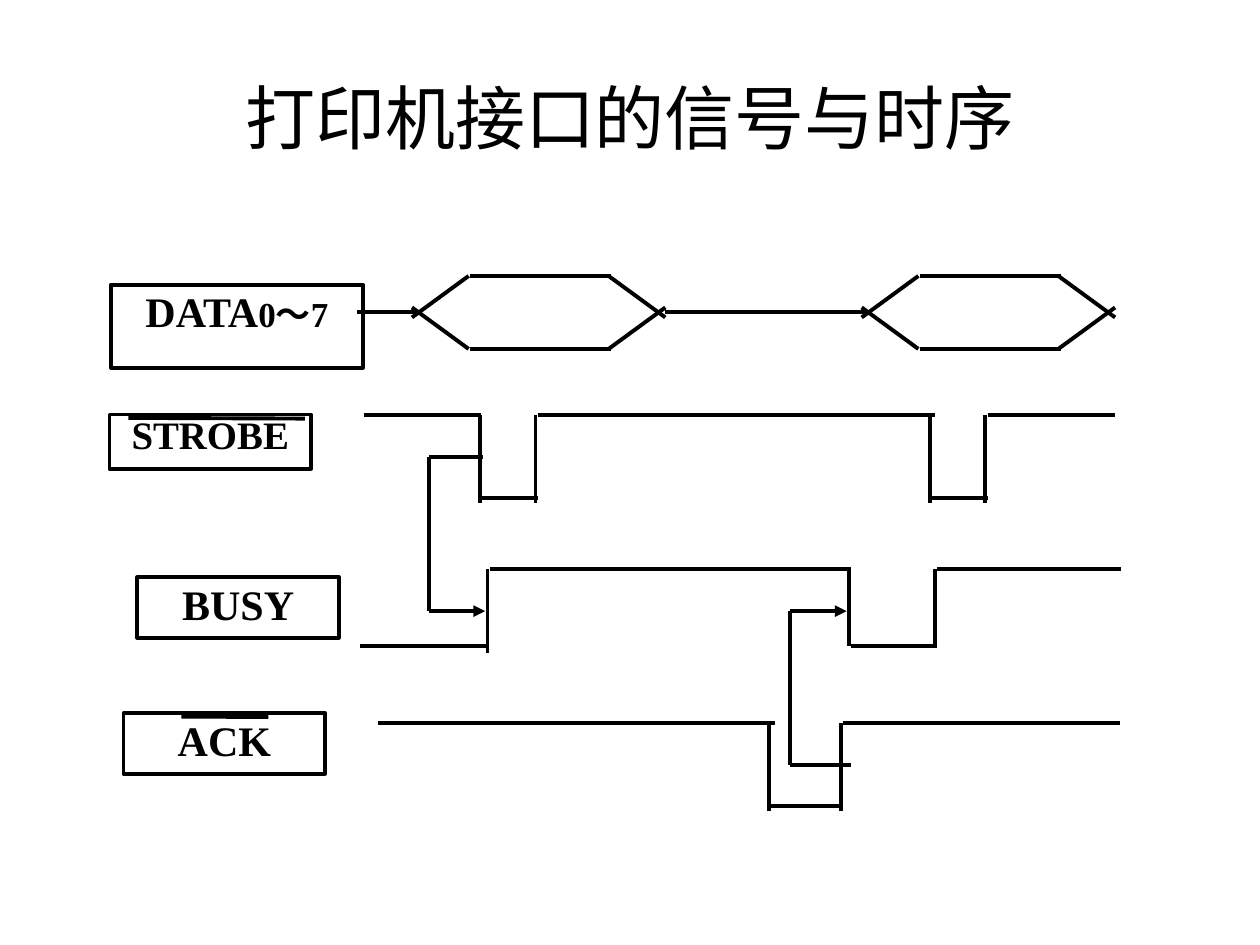
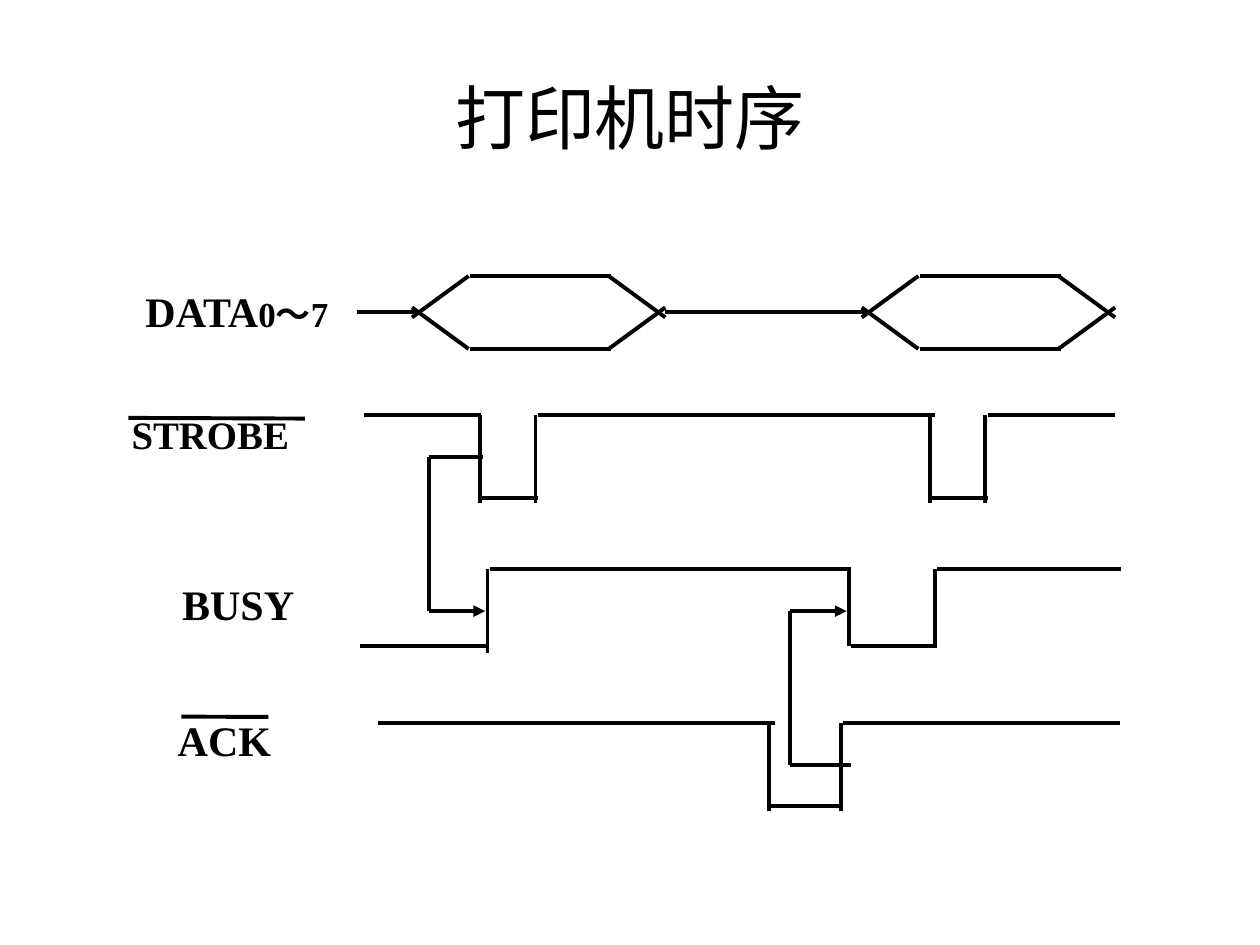
from dataclasses import dataclass

import lxml.etree
import pptx
import pptx.dml.color
import pptx.enum.dml
import pptx.enum.lang
import pptx.enum.shapes
import pptx.enum.text
import pptx.oxml.ns
import pptx.util

Pt = pptx.util.Pt

BLACK = pptx.dml.color.RGBColor(0x00, 0x00, 0x00)
TITLE_FONT = "Calibri"
LABEL_FONT = "Times New Roman"
LINE_WIDTH = 2.25
LABEL_INSET = 0.72
CYCLE = 257

DATA_TOP, DATA_BOTTOM = 157.7, 199.4
DATA_MIDDLE = (DATA_TOP + DATA_BOTTOM) / 2
STROBE_HIGH, STROBE_LOW = 236.9, 284.4
BUSY_HIGH, BUSY_LOW = 325.4, 369.4
ACK_HIGH, ACK_LOW = 413.3, 460.8
BUSY_EDGE = 349.2


@dataclass(frozen=True)
class Segment:
    x1: float
    y1: float
    x2: float
    y2: float
    arrow: bool = False


@dataclass(frozen=True)
class Pulse:
    left: float
    right: float
    high: float
    low: float
    overshoot: float = 2.9


@dataclass(frozen=True)
class Feedback:
    x: float
    cause_x: float
    cause_y: float
    effect_x: float


@dataclass(frozen=True)
class Label:
    runs: tuple[tuple[str, float], ...]
    left: float
    top: float
    width: float
    height: float
    spacing: float = 1.0
    overbar: Segment | None = None


LEVELS = (
    Segment(203.8, DATA_MIDDLE, 238.3, DATA_MIDDLE),
    Segment(380.2, DATA_MIDDLE, 497.5, DATA_MIDDLE),
    Segment(208, STROBE_HIGH, 275, STROBE_HIGH),
    Segment(307.4, STROBE_HIGH, 534.2, STROBE_HIGH),
    Segment(564.5, STROBE_HIGH, 637.2, STROBE_HIGH),
    Segment(205.9, BUSY_LOW, 279.4, BUSY_LOW),
    Segment(278.6, BUSY_HIGH, 278.6, 373),
    Segment(280, BUSY_HIGH, 486, BUSY_HIGH),
    Segment(535.7, BUSY_HIGH, 640.8, BUSY_HIGH),
    Segment(216, ACK_HIGH, 442.8, ACK_HIGH),
    Segment(481.7, ACK_HIGH, 640, ACK_HIGH),
)

PULSES = (
    Pulse(274.3, 306, STROBE_HIGH, STROBE_LOW),
    Pulse(274.3 + CYCLE, 306 + CYCLE, STROBE_HIGH, STROBE_LOW),
    Pulse(485.3, 534.2, BUSY_HIGH, BUSY_LOW, 0),
    Pulse(439.2, 480.4, ACK_HIGH, ACK_LOW),
)

FEEDBACKS = (
    Feedback(245, 275.8, 261.4, 277.2),
    Feedback(451.4, 486, 437.4, 483.8),
)

LABELS = (
    Label((("BUSY", 24),), 78.5, 329.8, 115.2, 34.6),
    Label((("DATA", 24), ("0～7", 20)), 63.4, 162.7, 144, 47.5),
    Label((("ACK", 24),), 70.6, 407.5, 115.2, 34.6,
          overbar=Segment(103.7, 409.5, 153.4, 409.7)),
    Label((("STROBE", 22.2),), 62.6, 236.9, 115.2, 31, 0.9,
          Segment(73.4, 238.8, 174.2, 239.2)),
)


def draw_segment(slide: pptx.slide.Slide, segment: Segment) -> None:
    connector = slide.shapes.add_connector(
        pptx.enum.shapes.MSO_CONNECTOR.STRAIGHT,
        Pt(segment.x1), Pt(segment.y1), Pt(segment.x2), Pt(segment.y2))
    connector.line.color.rgb = BLACK
    connector.line.width = Pt(LINE_WIDTH)
    if segment.arrow:
        line = connector.line._get_or_add_ln()
        lxml.etree.SubElement(line, pptx.oxml.ns.qn("a:tailEnd"), type="triangle")
    lxml.etree.SubElement(connector._element.spPr, pptx.oxml.ns.qn("a:effectLst"))


def draw_data_window(slide: pptx.slide.Slide, offset: float) -> None:
    for y, crossing in ((DATA_TOP, 181.4), (DATA_BOTTOM, 175.7)):
        draw_segment(slide, Segment(347.8 + offset, y, 380.2 + offset, crossing))
        draw_segment(slide, Segment(267.8 + offset, y, 235.4 + offset, crossing))
        draw_segment(slide, Segment(268.6 + offset, y, 349.2 + offset, y))


def draw_pulse(slide: pptx.slide.Slide, pulse: Pulse) -> None:
    for x in (pulse.left, pulse.right):
        draw_segment(slide, Segment(x, pulse.high, x, pulse.low + pulse.overshoot))
    draw_segment(slide, Segment(pulse.left + 1, pulse.low, pulse.right + 1.5, pulse.low))


def draw_feedback(slide: pptx.slide.Slide, feedback: Feedback) -> None:
    x, y = feedback.x, feedback.cause_y
    draw_segment(slide, Segment(x, BUSY_EDGE, feedback.effect_x, BUSY_EDGE, True))
    draw_segment(slide, Segment(x, BUSY_EDGE, x, y))
    draw_segment(slide, Segment(x, y, feedback.cause_x, y))


def add_text(paragraph: pptx.text.text._Paragraph, text: str, *, size: float,
             font: str, bold: bool = False) -> None:
    run = paragraph.add_run()
    run.text = text
    run.font.name = font
    run.font.size = Pt(size)
    run.font.bold = bold
    run.font.color.rgb = BLACK
    run.font.language_id = pptx.enum.lang.MSO_LANGUAGE_ID.SIMPLIFIED_CHINESE


def draw_title(slide: pptx.slide.Slide, title: str) -> None:
    shape = slide.shapes.add_textbox(Pt(36), Pt(21.6), Pt(648), Pt(90))
    frame = shape.text_frame
    frame.word_wrap = True
    frame.vertical_anchor = pptx.enum.text.MSO_ANCHOR.MIDDLE
    paragraph = frame.paragraphs[0]
    paragraph.alignment = pptx.enum.text.PP_ALIGN.CENTER
    add_text(paragraph, title, size=40, font=TITLE_FONT)


def draw_label(slide: pptx.slide.Slide, label: Label, boxed: bool) -> None:
    bounds = [Pt(value) for value in (label.left, label.top, label.width, label.height)]
    if boxed:
        shape = slide.shapes.add_shape(
            pptx.enum.shapes.MSO_SHAPE.RECTANGLE, *bounds)
        shape.shadow.inherit = False
        shape.fill.background()
        shape.line.color.rgb = BLACK
        shape.line.width = Pt(LINE_WIDTH)
    else:
        shape = slide.shapes.add_textbox(*bounds)
    frame = shape.text_frame
    frame.word_wrap = True
    frame.vertical_anchor = pptx.enum.text.MSO_ANCHOR.TOP
    frame.margin_left = frame.margin_right = Pt(LABEL_INSET)
    frame.margin_top = frame.margin_bottom = Pt(LABEL_INSET)
    paragraph = frame.paragraphs[0]
    paragraph.alignment = pptx.enum.text.PP_ALIGN.CENTER
    paragraph.line_spacing = label.spacing
    for text, size in label.runs:
        add_text(paragraph, text, size=size, font=LABEL_FONT, bold=True)
    if label.overbar:
        draw_segment(slide, label.overbar)


def build_timing_slide(presentation: pptx.presentation.Presentation, title: str,
                       boxed: bool) -> None:
    slide = presentation.slides.add_slide(presentation.slide_layouts[6])
    draw_title(slide, title)
    for level in LEVELS:
        draw_segment(slide, level)
    for offset in (0, CYCLE):
        draw_data_window(slide, offset)
    for pulse in PULSES:
        draw_pulse(slide, pulse)
    for feedback in FEEDBACKS:
        draw_feedback(slide, feedback)
    for label in LABELS:
        draw_label(slide, label, boxed)


def main() -> None:
    presentation = pptx.Presentation()
    presentation.slide_width = Pt(720)
    presentation.slide_height = Pt(540)
    build_timing_slide(presentation, "打印机接口的信号与时序", boxed=True)
    build_timing_slide(presentation, "打印机时序", boxed=False)
    presentation.save("out.pptx")


if __name__ == "__main__":
    main()
